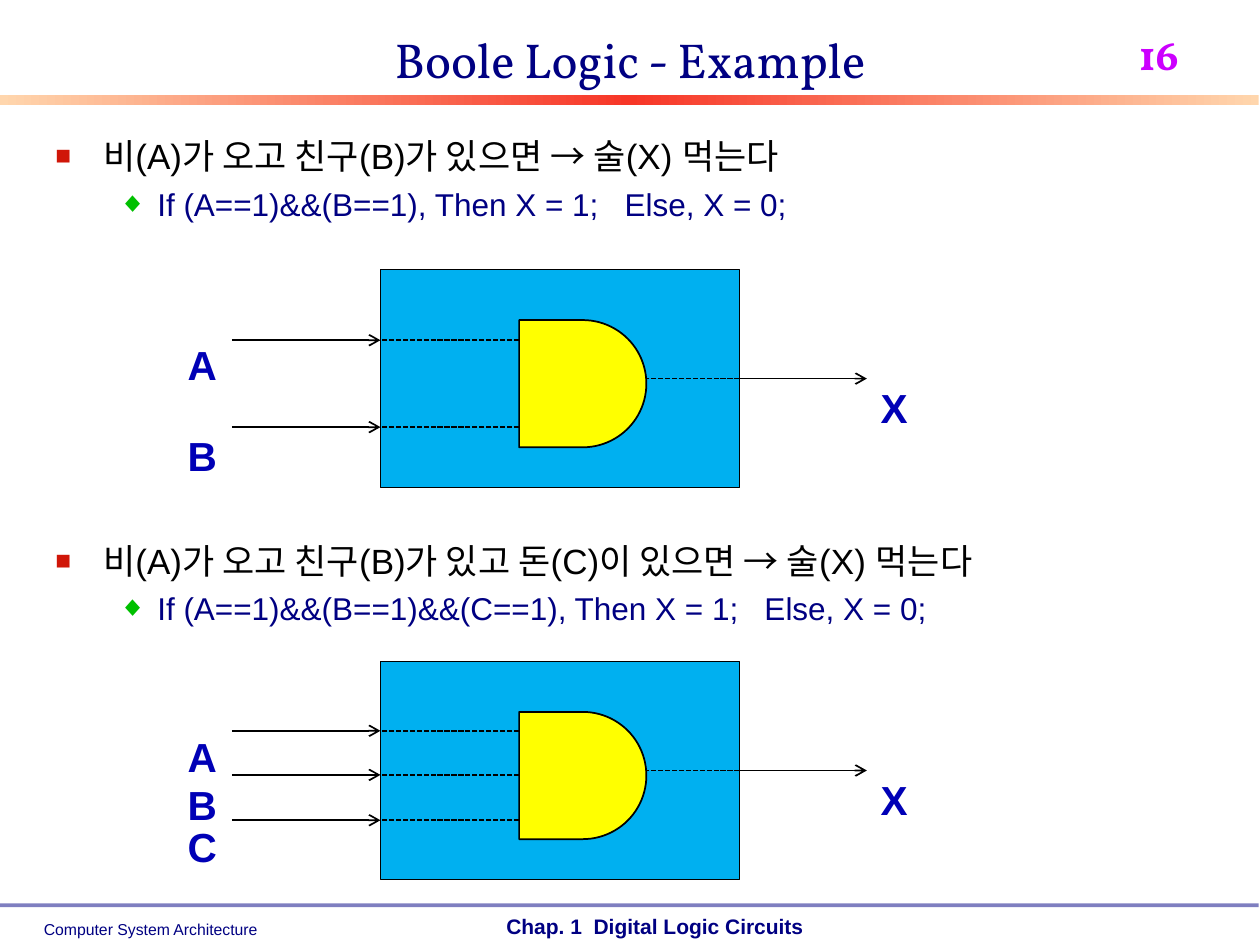
import pptx
import pptx.util
import pptx.dml.color
import pptx.enum.dml
import pptx.enum.shapes
import pptx.enum.text
import pptx.oxml
import pptx.oxml.ns
from pptx.util import Inches

NAVY, BLACK, LABEL_BLUE = "000082", "000000", "0000B6"
SHAPES = pptx.enum.shapes.MSO_SHAPE
ALIGN = pptx.enum.text.PP_ALIGN
ANCHOR = pptx.enum.text.MSO_ANCHOR
NS = pptx.oxml.ns.nsdecls("a")


def color(value):
    return pptx.dml.color.RGBColor.from_string(value)


def write(text, left=0, top=0, width=0, height=0, size=18, font="Arial", hue=NAVY, bold=False,
          align=ALIGN.LEFT, anchor=ANCHOR.TOP, wrap=False, subscript=False, frame=None,
          bullet=None, before=0):
    """Write one paragraph in a new text box, or as the next paragraph of frame."""
    if frame is None:
        frame = slide.shapes.add_textbox(
            Inches(left), Inches(top), Inches(width), Inches(height)).text_frame
        frame.word_wrap = wrap
        frame.vertical_anchor = anchor
        if not wrap:
            frame.auto_size = pptx.enum.text.MSO_AUTO_SIZE.SHAPE_TO_FIT_TEXT
        paragraph = frame.paragraphs[0]
    else:
        paragraph = frame.add_paragraph()
    paragraph.alignment = align
    if before:
        paragraph.space_before = pptx.util.Pt(before)
    if bullet:
        mark, mark_hue, percent, level, margin, indent = bullet
        paragraph.level = level
        properties = paragraph._p.get_or_add_pPr()
        properties.set("marL", str(Inches(margin)))
        properties.set("indent", str(Inches(indent)))
        for xml in (f'<a:buClr {NS}><a:srgbClr val="{mark_hue}"/></a:buClr>',
                    f'<a:buSzPct {NS} val="{percent * 1000}"/>',
                    f'<a:buFont {NS} typeface="Arial"/>',
                    f'<a:buChar {NS} char="{mark}"/>'):
            properties.append(pptx.oxml.parse_xml(xml))
    run = paragraph.add_run()
    run.text = text
    run.font.size = pptx.util.Pt(size)
    run.font.name = font
    run.font.bold = bold
    run.font.color.rgb = color(hue)
    if subscript:
        run._r.get_or_add_rPr().set("baseline", "-25000")
    return frame


presentation = pptx.Presentation()
presentation.slide_width = Inches(10)
presentation.slide_height = Inches(7.5)
slide = presentation.slides.add_slide(presentation.slide_layouts[6])

# Rules under the title and above the footer
title_rule = slide.shapes.add_shape(
    SHAPES.RECTANGLE, Inches(0), Inches(0.75), Inches(9.99), Inches(0.08))
title_rule.fill.gradient()
title_rule.fill.gradient_angle = 0
stops = title_rule._element.spPr.find(".//" + pptx.oxml.ns.qn("a:gsLst"))
stops.clear()
for position, hue in ((0, "FFD6AD"), (50, "F73627"), (100, "FFD6AD")):
    stops.append(pptx.oxml.parse_xml(
        f'<a:gs {NS} pos="{position * 1000}"><a:srgbClr val="{hue}"/></a:gs>'))

footer_rule = slide.shapes.add_shape(
    SHAPES.RECTANGLE, Inches(0), Inches(7.17), Inches(9.99), Inches(0.03))
footer_rule.fill.solid()
footer_rule.fill.fore_color.rgb = color(NAVY)
footer_rule.fill.fore_color._xFill[0].append(
    pptx.oxml.parse_xml(f'<a:alpha {NS} val="50000"/>'))
for rule in (title_rule, footer_rule):
    rule.line.fill.background()
    rule.shadow.inherit = False

# Footer, page number and title
write("Computer System Architecture", 0.25, 7.25, 1.9, 0.25, size=9)
write("Chap. 1  Digital Logic Circuits", 3.92, 7.2, 2.56, 0.3, size=12, bold=True)
write("16", 8.94, 0.18, 1.06, 1.01, size=24, font="Vollkorn", hue="CC00FF", bold=True, wrap=True)
write("Boole Logic - Example", 0.75, 0, 8.5, 0.75, size=28, font="Vollkorn",
      align=ALIGN.CENTER, anchor=ANCHOR.BOTTOM, wrap=True)

# Statements; the gap before the second leaves room for the first circuit
square = ("■", "D01608", 75, 0, 0.38, -0.38)
diamond = ("◆", "00C000", 90, 1, 0.81, -0.31)
statements = write("비(A)가 오고 친구(B)가 있으면 → 술(X) 먹는다", 0.34, 1.02, 9.01, 6.18,
                   size=20, hue=BLACK, wrap=True, bullet=square)
write("If (A==1)&&(B==1), Then X = 1;   Else, X = 0;",
      frame=statements, bullet=diamond, before=4.5)
write("비(A)가 오고 친구(B)가 있고 돈(C)이 있으면 → 술(X) 먹는다",
      frame=statements, size=20, hue=BLACK, bullet=square, before=181)
write("If (A==1)&&(B==1)&&(C==1), Then X = 1;   Else, X = 0;",
      frame=statements, bullet=diamond, before=4.5)


def wire(start, end, y, dashed=False):
    """Draw a level wire: dashed inside the block, with an arrowhead outside."""
    line = slide.shapes.add_connector(
        pptx.enum.shapes.MSO_CONNECTOR.STRAIGHT, Inches(start), Inches(y), Inches(end), Inches(y))
    line.line.color.rgb = color(BLACK)
    line.line.width = pptx.util.Pt(1)
    if dashed:
        line.line.dash_style = pptx.enum.dml.MSO_LINE.SQUARE_DOT
    else:
        line.line._get_or_add_ln().append(
            pptx.oxml.parse_xml(f'<a:tailEnd {NS} type="arrow"/>'))
    line._element.spPr.append(pptx.oxml.parse_xml(f"<a:effectLst {NS}/>"))
    return line


# Circuits: block top, then name, wire height and label top of each input
block_left, block_width, block_height = 3.02, 2.85, 1.73
block_right = block_left + block_width
gate_left, gate_size = 4.12, 1.01
circuits = (
    (2.14, (("A", 2.7, 2.28), ("B", 3.39, 3))),
    (5.25, (("A", 5.8, 5.39), ("B", 6.15, 5.77), ("C", 6.51, 6.1))),
)
label_format = dict(size=40, hue=LABEL_BLUE, bold=True, align=ALIGN.CENTER, subscript=True)
for block_top, inputs in circuits:
    block = slide.shapes.add_shape(SHAPES.RECTANGLE, Inches(block_left), Inches(block_top),
                                   Inches(block_width), Inches(block_height))
    gate = slide.shapes.add_shape(SHAPES.FLOWCHART_DELAY, Inches(gate_left),
                                  Inches(block_top + 0.4), Inches(gate_size), Inches(gate_size))
    for part, hue in ((block, "00B0F0"), (gate, "FFFF00")):
        part.fill.solid()
        part.fill.fore_color.rgb = color(hue)
        part.line.color.rgb = color(BLACK)
        part.line.width = pptx.util.Pt(1)
        part.shadow.inherit = False

    for name, wire_y, label_top in inputs:
        wire(1.84, block_left, wire_y)
        wire(gate_left, block_left, wire_y, dashed=True)
        write(name, 1.39, label_top, 0.43, 0.86, **label_format)

    output_y = block_top + block_height / 2
    wire(block_right, 6.88, output_y).begin_connect(block, 3)
    wire(block_right, gate_left + gate_size, output_y, dashed=True).begin_connect(block, 3)
    write("X", 6.89, block_top + 0.48, 0.41, 0.86, **label_format)

presentation.save("out.pptx")
